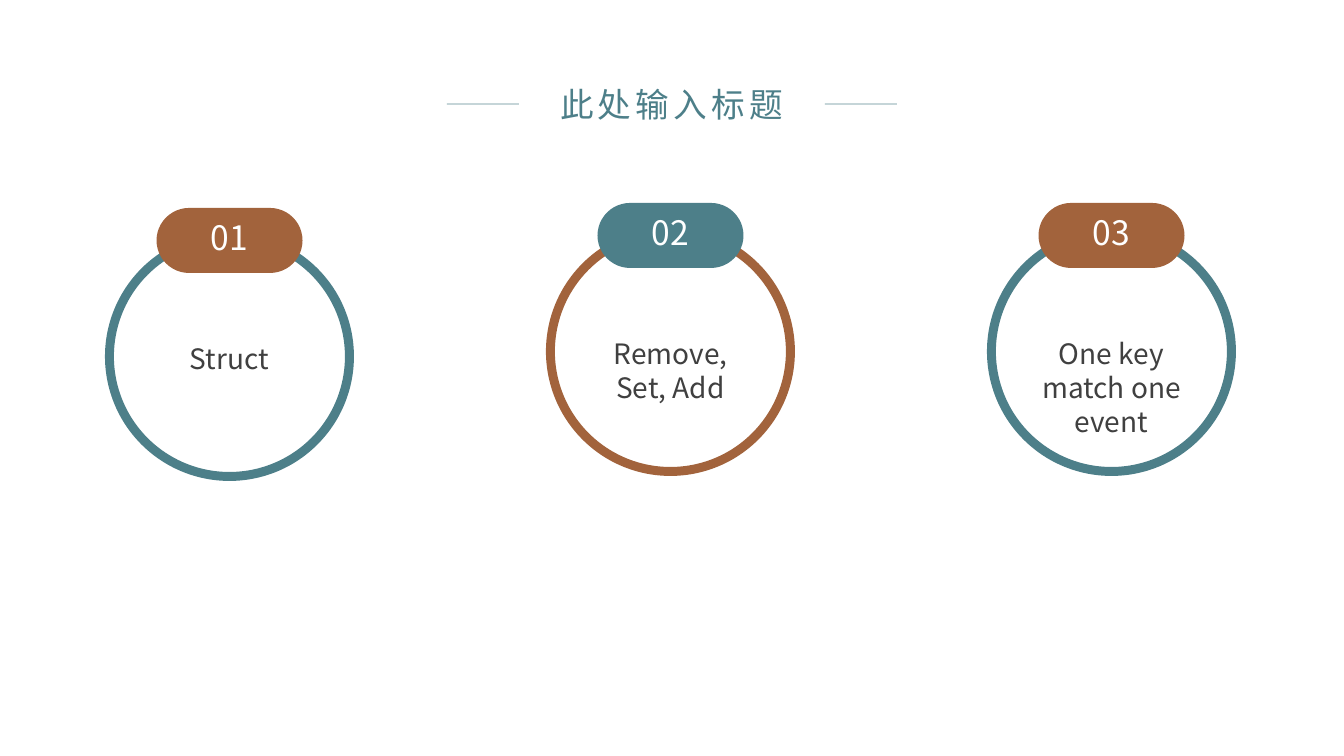
import pptx
import pptx.dml.color
import pptx.enum.shapes
import pptx.enum.text
import pptx.oxml.ns
import pptx.util
from lxml import etree

# Content: number, text, lines it fills, ring colour, pill colour, top of ring
TITLE = "此处输入标题"
RINGS = [
    ("01", "Struct", 1, "teal", "rust", 232),
    ("02", "Remove, Set, Add", 2, "rust", "teal", 227),
    ("03", "One key match one event", 3, "teal", "rust", 227),
]

THEME = {
    "font": "Noto Sans CJK SC",
    "teal": "4D7F89", "rust": "A2633C", "white": "FFFFFF", "text": "404040",
    "heading": 24, "body": 20, "rule": 1,
}

# Layout in px
SLIDE_W, SLIDE_H = 1344, 756
RING_LEFT, RING_PITCH, RING_SIZE = 105, 441, 249
PILL_W, PILL_H, PILL_RISE = 146, 65, 24
NUMBER_W, NUMBER_H, NUMBER_RISE = 58, 50, 20
BODY_W, BODY_DROP, BODY_H, LINE_H = 165, 105, 44, 34
TITLE_BOX = (523, 79, 297, 50)
RULE_Y, RULE_W, RULE_LEFTS = 104, 72, (447, 825)

EMU_PER_PX = 914400 / 100.8
SHAPE = pptx.enum.shapes.MSO_SHAPE


def px(n):
    return pptx.util.Emu(round(n * EMU_PER_PX))


def rgb(name):
    return pptx.dml.color.RGBColor.from_string(THEME[name])


def add_solid(s, kind, box, colour, adj):
    sp = s.shapes.add_shape(kind, *map(px, box))
    sp.shadow.inherit = False
    sp.adjustments[0] = adj
    sp.fill.solid()
    sp.fill.fore_color.rgb = rgb(colour)
    sp.line.fill.background()


def add_text(s, box, text, size, colour, wrap=True, spacing=0):
    tf = s.shapes.add_textbox(*map(px, box)).text_frame
    tf.word_wrap = wrap
    tf.auto_size = pptx.enum.text.MSO_AUTO_SIZE.SHAPE_TO_FIT_TEXT
    p = tf.paragraphs[0]
    p.alignment = pptx.enum.text.PP_ALIGN.CENTER
    r = p.add_run()
    r.text = text
    r.font.size = pptx.util.Pt(THEME[size])
    r.font.color.rgb = rgb(colour)
    r.font.name = THEME["font"]
    rPr = r.font._element
    etree.SubElement(rPr, pptx.oxml.ns.qn("a:ea"), typeface=THEME["font"])
    if spacing:
        rPr.set("spc", str(spacing * 100))


def add_rule(s, left):
    ends = (left, RULE_Y, left + RULE_W, RULE_Y)
    line = s.shapes.add_connector(
        pptx.enum.shapes.MSO_CONNECTOR.STRAIGHT, *map(px, ends))
    line.line.width = pptx.util.Pt(THEME["rule"])
    line.line.color.rgb = rgb("teal")
    spPr = line._element.spPr
    colour = spPr.find(".//" + pptx.oxml.ns.qn("a:srgbClr"))
    etree.SubElement(colour, pptx.oxml.ns.qn("a:alpha"), val="50000")
    etree.SubElement(spPr, pptx.oxml.ns.qn("a:effectLst"))


def main():
    prs = pptx.Presentation()
    prs.slide_width, prs.slide_height = px(SLIDE_W), px(SLIDE_H)
    s = prs.slides.add_slide(prs.slide_layouts[6])

    # Rings, each with a numbered pill on top, all on one centre line
    for i, (number, text, lines, ring, pill, top) in enumerate(RINGS):
        left = RING_LEFT + i * RING_PITCH
        mid = left + RING_SIZE / 2
        add_solid(s, SHAPE.DONUT, (left, top, RING_SIZE, RING_SIZE), ring, 0.036)
        add_solid(s, SHAPE.ROUNDED_RECTANGLE,
                  (mid - PILL_W / 2, top - PILL_RISE, PILL_W, PILL_H), pill, 0.5)
        add_text(s, (mid - NUMBER_W / 2, top - NUMBER_RISE, NUMBER_W, NUMBER_H),
                 number, "heading", "white", wrap=False)
        add_text(s, (mid - BODY_W / 2, top + BODY_DROP, BODY_W,
                     BODY_H + (lines - 1) * LINE_H), text, "body", "text")

    # Title between two rules
    for left in RULE_LEFTS:
        add_rule(s, left)
    add_text(s, TITLE_BOX, TITLE, "heading", "teal", spacing=3)

    prs.save("out.pptx")


if __name__ == "__main__":
    main()
